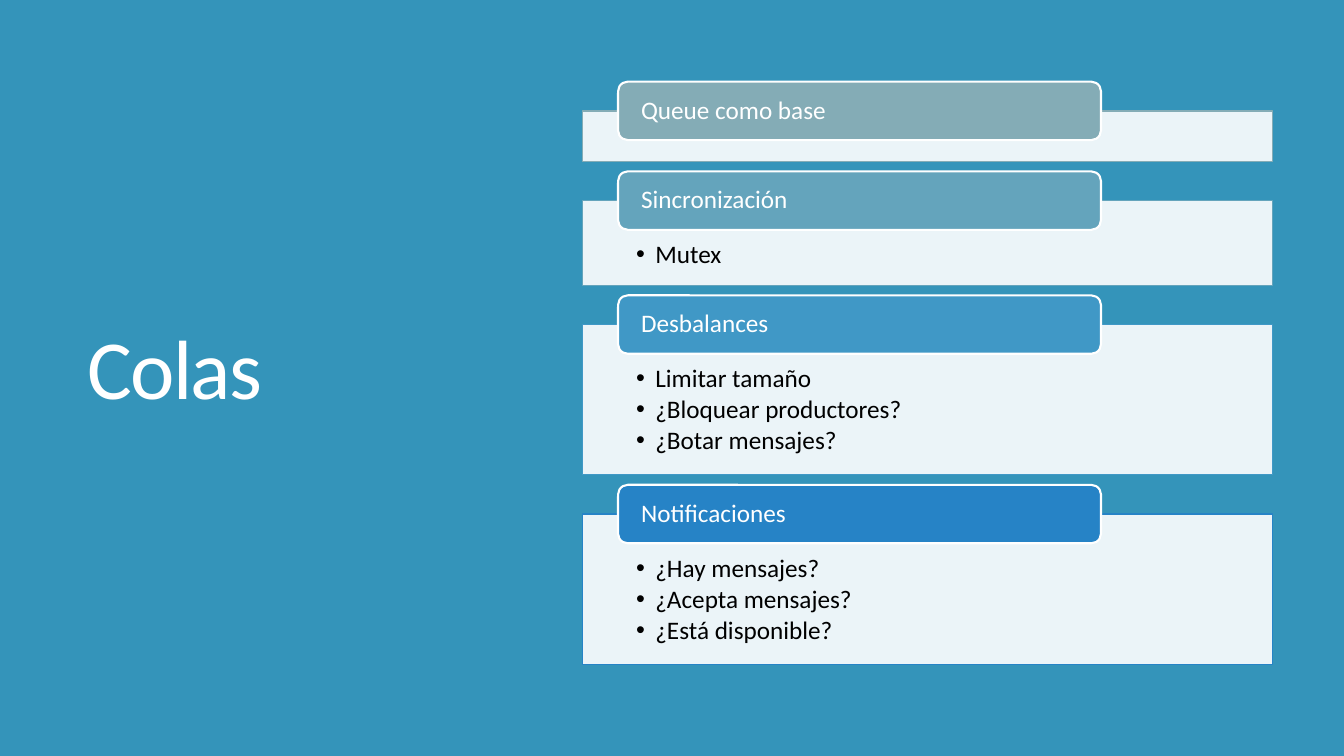
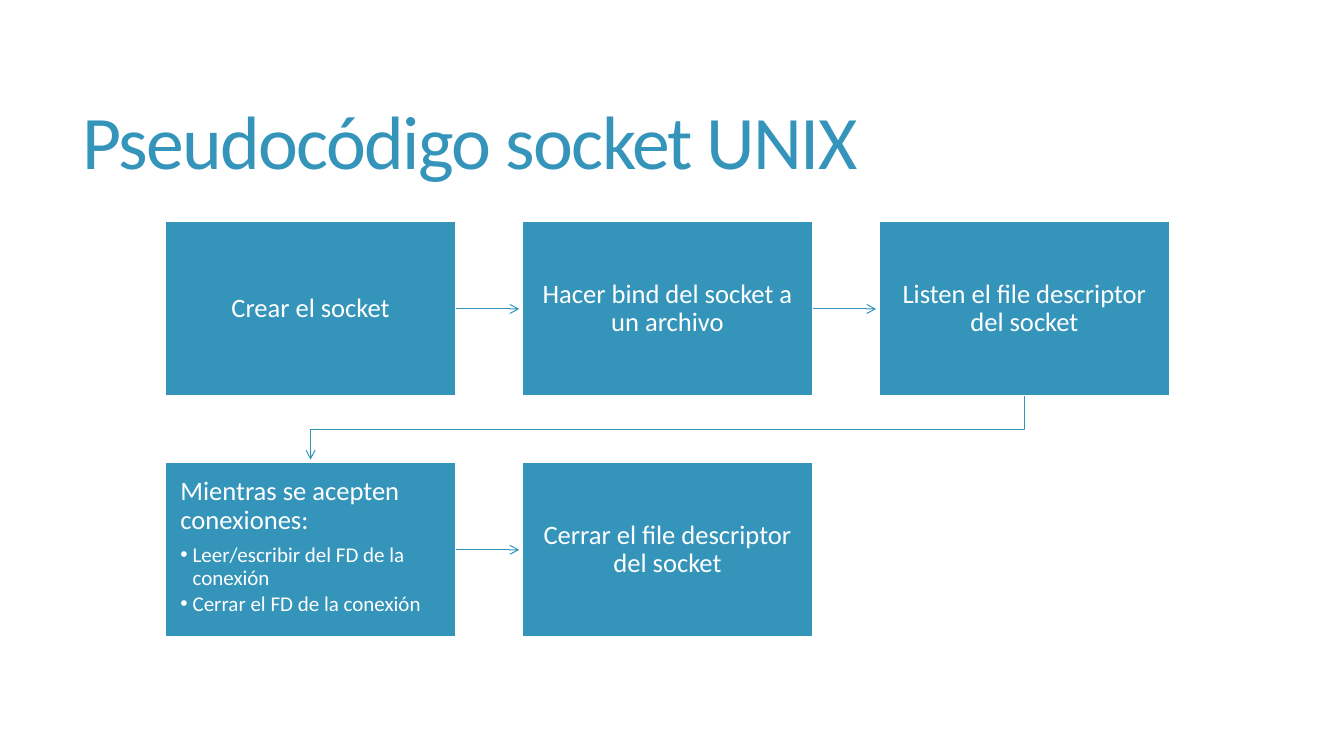
from lxml.etree import SubElement
from pptx import Presentation
from pptx.dml.color import RGBColor
from pptx.enum.shapes import MSO_CONNECTOR, MSO_SHAPE
from pptx.enum.text import MSO_ANCHOR, PP_ALIGN
from pptx.oxml.ns import qn
from pptx.util import Inches, Pt

BLUE = RGBColor(0x34, 0x94, 0xBA)
WHITE = RGBColor(0xFF, 0xFF, 0xFF)
BLACK = RGBColor(0, 0, 0)
GRAY_TEAL = RGBColor(0x84, 0xAC, 0xB6)
TEAL = RGBColor(0x64, 0xA4, 0xBC)
SKY = RGBColor(0x40, 0x98, 0xC6)
DEEP_BLUE = RGBColor(0x26, 0x83, 0xC6)
FONT = "Calibri"

TOPICS = [
    ("Queue como base", [], GRAY_TEAL, 0.5),
    ("Sincronización", ["Mutex"], TEAL, 0.84),
    ("Desbalances", ["Limitar tamaño", "¿Bloquear productores?", "¿Botar mensajes?"], SKY, 1.49),
    ("Notificaciones", ["¿Hay mensajes?", "¿Acepta mensajes?", "¿Está disponible?"], DEEP_BLUE, 1.49),
]
PANEL_LEFT, PANEL_WIDTH = 5.78, 6.84
HEADER_LEFT, HEADER_WIDTH, HEADER_HEIGHT = 6.13, 4.79, 0.58
HEADER_RISE, TOPIC_GAP = 0.29, 0.1

STEPS = [
    "Crear el socket",
    "Hacer bind del socket a un archivo",
    "Listen el file descriptor del socket",
    "Mientras se acepten conexiones:",
    "Cerrar el file descriptor del socket",
]
LOOP_STEP = 3
LOOP_ACTIONS = ["Leer/escribir del FD de la conexión", "Cerrar el FD de la conexión"]
COLUMNS = 3
STEP_LEFT, STEP_TOP = 1.64, 2.2
STEP_WIDTH, STEP_HEIGHT = 2.88, 1.73
COLUMN_PITCH, ROW_PITCH = 3.54, 2.39
ARROW_GAP = 0.03


def add_page(deck, background):
    page = deck.slides.add_slide(deck.slide_layouts[6])
    page.background.fill.solid()
    page.background.fill.fore_color.rgb = background
    return page


def set_frame(shape, anchor, insets):
    frame = shape.text_frame
    frame.word_wrap = True
    frame.vertical_anchor = anchor
    left, top, right, bottom = (Inches(inset) for inset in insets)
    frame.margin_left, frame.margin_top = left, top
    frame.margin_right, frame.margin_bottom = right, bottom
    return frame


def write(frame, text, size=18, color=WHITE, align=PP_ALIGN.LEFT, spacing=0.9,
          after=0, indent=0, tracking=0):
    para = frame.paragraphs[0] if not frame.text else frame.add_paragraph()
    para.alignment = align
    para.line_spacing = spacing
    para.space_after = Pt(after)
    if indent:
        properties = para._p.get_or_add_pPr()
        properties.set("marL", str(Inches(indent)))
        properties.set("indent", str(-Inches(indent)))
        SubElement(properties, qn("a:buFont")).set("typeface", "Arial")
        SubElement(properties, qn("a:buChar")).set("char", "•")
    span = para.add_run()
    span.text = text
    span.font.name = FONT
    span.font.size = Pt(size)
    span.font.color.rgb = color
    if tracking:
        span._r.get_or_add_rPr().set("spc", str(int(tracking * 100)))


def add_title(page, text, area, size, color):
    box = page.shapes.add_textbox(*(Inches(length) for length in area))
    frame = set_frame(box, MSO_ANCHOR.MIDDLE, (0.1, 0.05, 0.1, 0.05))
    write(frame, text, size=size, color=color, spacing=0.85, tracking=-1.2)


def add_box(page, kind, area, fill, line, line_width=1, opacity=100):
    box = page.shapes.add_shape(kind, *(Inches(length) for length in area))
    box.shadow.inherit = False
    box.fill.solid()
    box.fill.fore_color.rgb = fill
    if opacity < 100:
        color = box._element.spPr.find(qn("a:solidFill"))[0]
        SubElement(color, qn("a:alpha")).set("val", str(opacity * 1000))
    box.line.color.rgb = line
    box.line.width = Pt(line_width)
    return box


def add_topic(page, top, heading, points, color, height):
    panel = add_box(page, MSO_SHAPE.RECTANGLE,
                    (PANEL_LEFT, top + HEADER_RISE, PANEL_WIDTH, height),
                    WHITE, color, opacity=90)
    frame = set_frame(panel, MSO_ANCHOR.TOP, (0.53, 0.41, 0.53, 0.14))
    for point in points:
        write(frame, point, color=BLACK, after=2.7, indent=0.19)
    header = add_box(page, MSO_SHAPE.ROUNDED_RECTANGLE,
                     (HEADER_LEFT, top, HEADER_WIDTH, HEADER_HEIGHT),
                     color, WHITE, line_width=1.5)
    write(set_frame(header, MSO_ANCHOR.MIDDLE, (0.2, 0, 0.2, 0)), heading)


def style_arrow(arrow):
    arrow.line.color.rgb = BLUE
    arrow.line.width = Pt(0.75)
    SubElement(arrow.line._get_or_add_ln(), qn("a:tailEnd")).set("type", "arrow")


def add_straight_arrow(page, left, right, middle):
    arrow = page.shapes.add_connector(MSO_CONNECTOR.STRAIGHT, Inches(left), Inches(middle),
                                      Inches(right), Inches(middle))
    style_arrow(arrow)
    SubElement(arrow._element.spPr, qn("a:effectLst"))


def add_bent_arrow(page, points):
    corners = [(Inches(x), Inches(y)) for x, y in points]
    builder = page.shapes.build_freeform(*corners[0])
    builder.add_line_segments(corners[1:], close=False)
    arrow = builder.convert_to_shape()
    arrow.fill.background()
    arrow.shadow.inherit = False
    style_arrow(arrow)


def step_corner(index):
    row, column = divmod(index, COLUMNS)
    return STEP_LEFT + column * COLUMN_PITCH, STEP_TOP + row * ROW_PITCH


def add_step(page, index, text):
    box = add_box(page, MSO_SHAPE.RECTANGLE,
                  (*step_corner(index), STEP_WIDTH, STEP_HEIGHT), BLUE, WHITE)
    is_loop = index == LOOP_STEP
    anchor = MSO_ANCHOR.TOP if is_loop else MSO_ANCHOR.MIDDLE
    frame = set_frame(box, anchor, (0.15,) * 4)
    if is_loop:
        write(frame, text, size=19, after=6.65)
        for action in LOOP_ACTIONS:
            write(frame, action, size=15, after=2.25, indent=0.12)
    else:
        write(frame, text, size=19, align=PP_ALIGN.CENTER)


def add_step_arrow(page, index):
    left, top = step_corner(index)
    next_left, next_top = step_corner(index + 1)
    if next_top == top:
        add_straight_arrow(page, left + STEP_WIDTH, next_left - ARROW_GAP,
                           top + STEP_HEIGHT / 2)
        return
    bottom = top + STEP_HEIGHT
    bend = (bottom + next_top) / 2
    start, end = left + STEP_WIDTH / 2, next_left + STEP_WIDTH / 2
    add_bent_arrow(page, [(start, bottom), (start, bend), (end, bend),
                          (end, next_top - ARROW_GAP)])


def build_queues(deck):
    page = add_page(deck, BLUE)
    add_title(page, "Colas", (0.77, 0.7, 4.37, 6.01), 60, WHITE)
    top = 0.81
    for heading, points, color, height in TOPICS:
        add_topic(page, top, heading, points, color, height)
        top += HEADER_RISE + height + TOPIC_GAP


def build_socket(deck):
    page = add_page(deck, WHITE)
    add_title(page, "Pseudocódigo socket UNIX", (0.72, 0.55, 11.78, 1.81), 54, BLUE)
    for index, text in enumerate(STEPS):
        add_step(page, index, text)
    for index in range(len(STEPS) - 1):
        add_step_arrow(page, index)


def main():
    deck = Presentation()
    deck.slide_width, deck.slide_height = Inches(13.33), Inches(7.5)
    build_queues(deck)
    build_socket(deck)
    deck.save("out.pptx")


if __name__ == "__main__":
    main()
